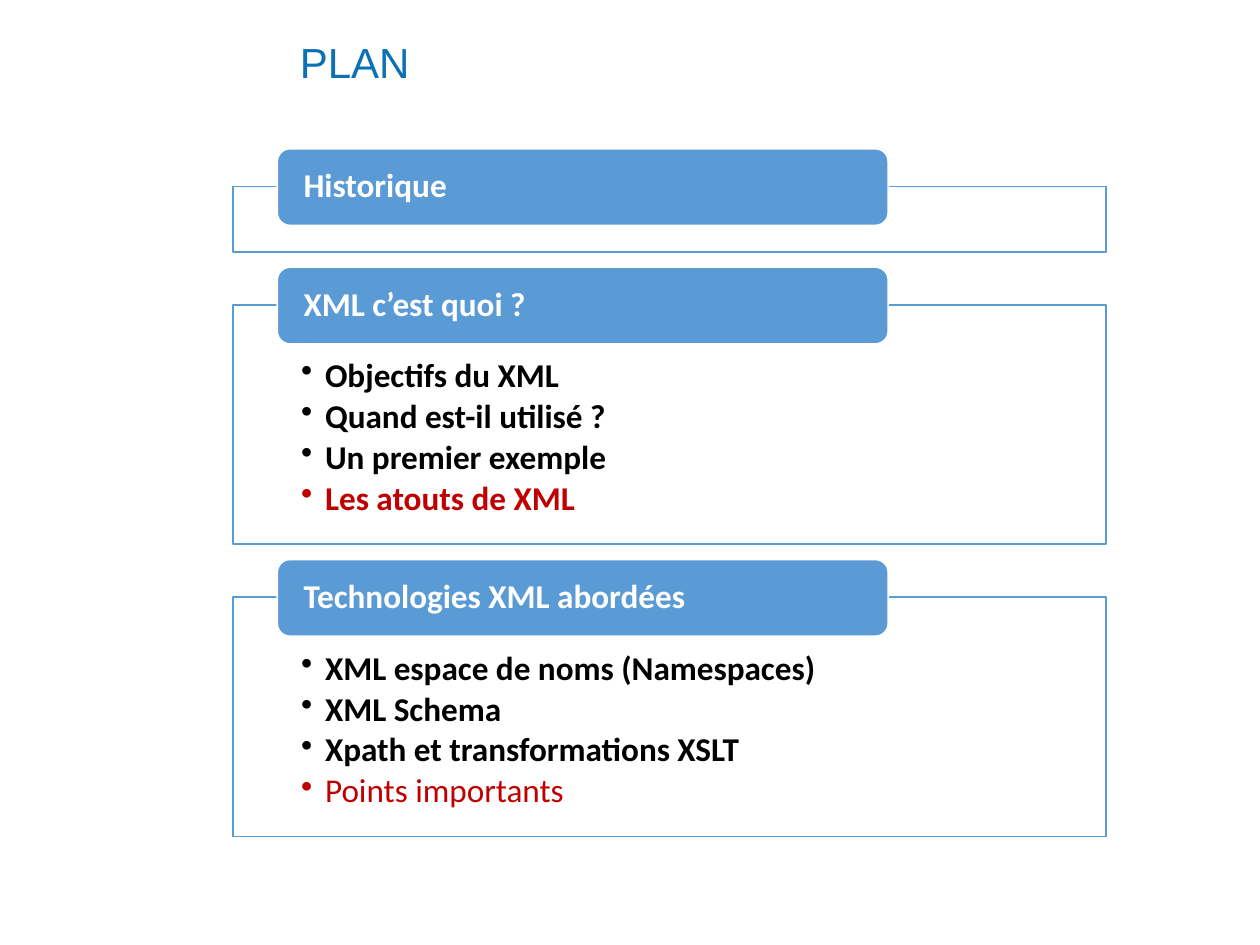
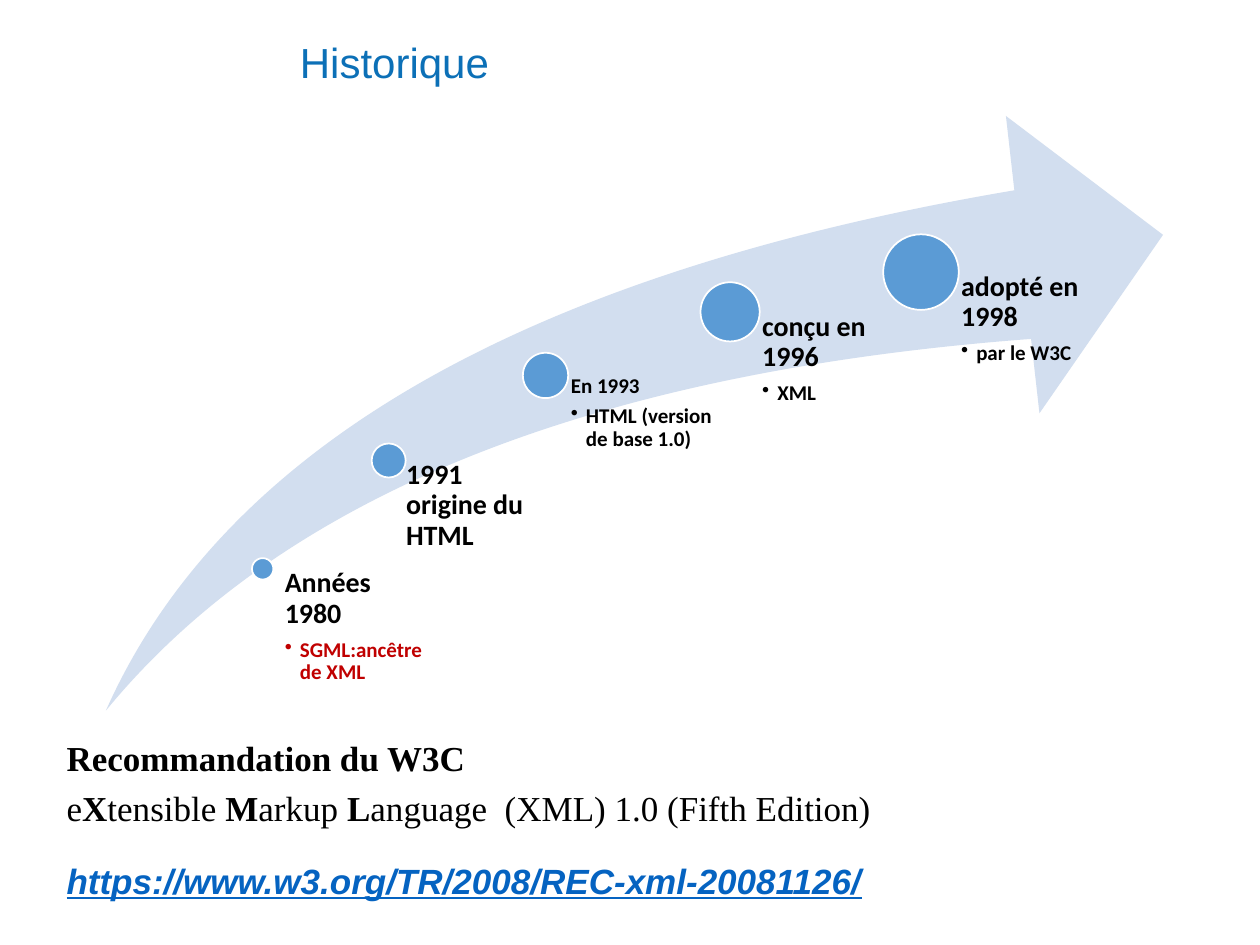
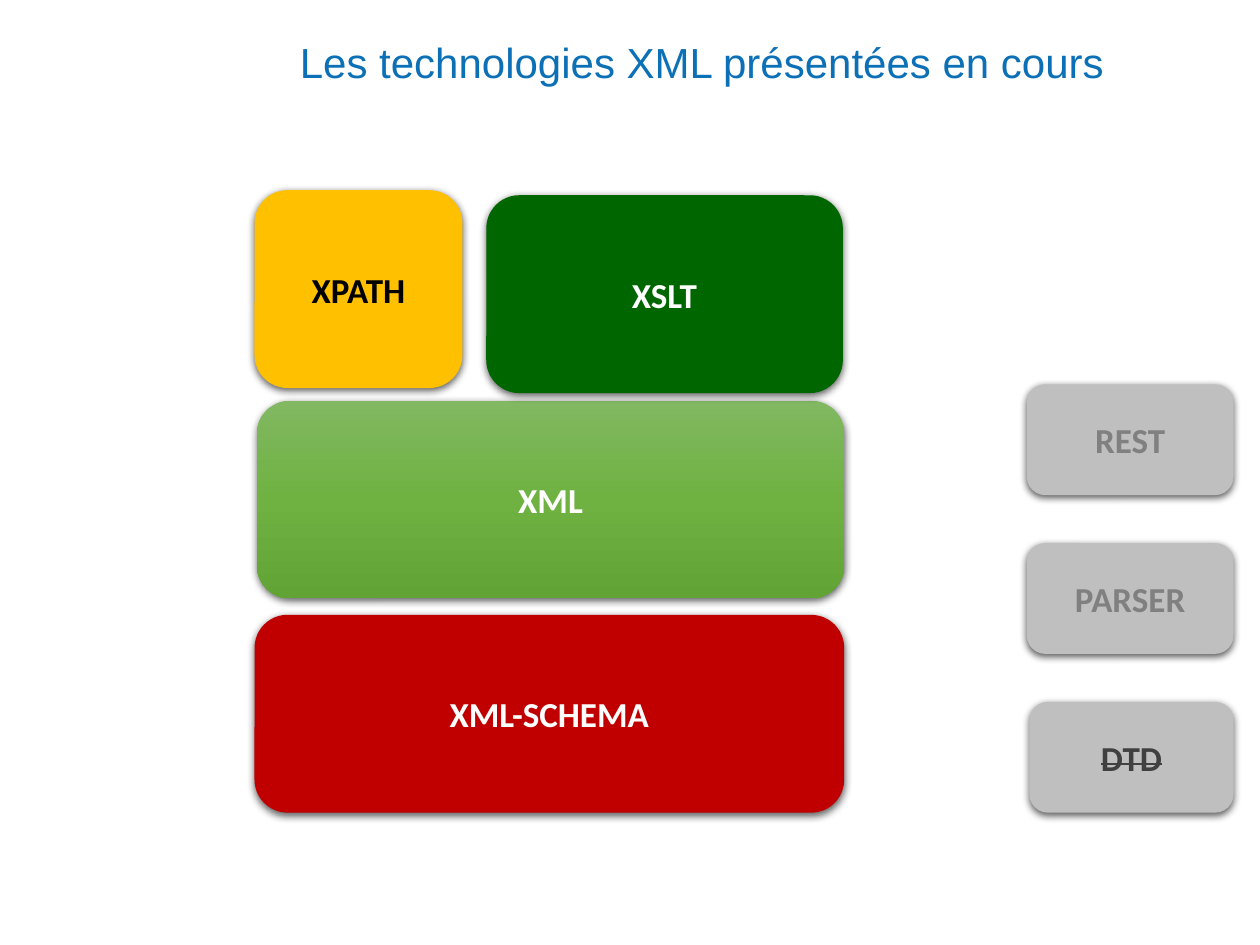
from copy import deepcopy

from lxml import etree
from pptx import Presentation
from pptx.dml.color import RGBColor
from pptx.enum import shapes, text
from pptx.oxml.ns import qn
from pptx.util import Inches, Pt

# Colours and fonts
WHITE = RGBColor(0xFF, 0xFF, 0xFF)
BLACK = RGBColor(0x00, 0x00, 0x00)
BLUE = RGBColor(0x5B, 0x9B, 0xD5)
PALE_BLUE = RGBColor(0xD2, 0xDE, 0xEF)
TITLE_BLUE = RGBColor(0x0C, 0x70, 0xB7)
LINK_BLUE = RGBColor(0x05, 0x63, 0xC1)
RED = RGBColor(0xC0, 0x00, 0x00)
AMBER = RGBColor(0xFF, 0xC0, 0x00)
DARK_GREEN = RGBColor(0x00, 0x66, 0x00)
GREENS = [RGBColor(0x81, 0xB8, 0x61), RGBColor(0x6F, 0xB2, 0x42), RGBColor(0x62, 0xA3, 0x36)]
SILVER = RGBColor(0xBF, 0xBF, 0xBF)
GRAY = RGBColor(0x80, 0x80, 0x80)
DARK_GRAY = RGBColor(0x40, 0x40, 0x40)
BODY_FONT, TITLE_FONT, SERIF_FONT = "Calibri", "Arial", "Times New Roman"

# Content: heading, frame height, items with colour and weight
PLAN = [
    ("Historique", 0.52, []),
    ("XML c’est quoi ?", 1.9, [
        ("Objectifs du XML", BLACK, True),
        ("Quand est-il utilisé ?", BLACK, True),
        ("Un premier exemple", BLACK, True),
        ("Les atouts de XML", RED, True),
    ]),
    ("Technologies XML abordées", 1.9, [
        ("XML espace de noms (Namespaces)", BLACK, True),
        ("XML Schema", BLACK, True),
        ("Xpath et transformations XSLT", BLACK, True),
        ("Points importants", RED, False),
    ]),
]

# Dot left, top, diameter; label left, width; heading, size; detail, colour
MILESTONES = [
    (2.0, 4.43, 0.17, 2.17, 1.21, "Années 1980", 16, "SGML:ancêtre de XML", RED),
    (2.95, 3.52, 0.27, 3.08, 1.25, "1991 origine du HTML", 16, None, BLACK),
    (4.15, 2.8, 0.36, 4.34, 1.46, "En 1993", 12, "HTML (version de base 1.0)", BLACK),
    (5.56, 2.24, 0.47, 5.8, 1.51, "conçu en 1996", 16, "XML", BLACK),
    (7.01, 1.86, 0.6, 7.31, 1.51, "adopté en 1998", 16, "par le W3C", BLACK),
]
SWOOSH_BOTTOM = 5.64
RECOMMENDATION = "Recommandation du W3C"
XML_NAME = [("e", False), ("X", True), ("tensible ", False), ("M", True), ("arkup ", False),
            ("L", True), ("anguage  (XML) 1.0 (Fifth Edition)", False)]
ADDRESS = "https://www.w3.org/TR/2008/REC-xml-20081126/"

# Label, box, fill, text colour, struck through
TECHNOLOGIES = [
    ("XML", (2.04, 3.18, 4.66, 1.57), GREENS, WHITE, False),
    ("DTD", (8.17, 5.57, 1.62, 0.88), SILVER, DARK_GRAY, True),
    ("XPATH", (2.02, 1.51, 1.65, 1.57), AMBER, BLACK, False),
    ("XSLT", (3.86, 1.55, 2.83, 1.57), DARK_GREEN, WHITE, False),
    ("XML-SCHEMA", (2.02, 4.88, 4.68, 1.57), RED, WHITE, False),
    ("PARSER", (8.15, 4.31, 1.64, 0.88), SILVER, GRAY, False),
    ("REST", (8.15, 3.05, 1.64, 0.88), SILVER, GRAY, False),
]


def add_run(paragraph, words, size=20, color=BLACK, font=BODY_FONT, bold=True,
            italic=False, underline=False, strike=False):
    run = paragraph.add_run()
    run.text = words
    run.font.size, run.font.name = Pt(size), font
    run.font.bold, run.font.italic, run.font.underline = bold, italic, underline
    run.font.color.rgb = color
    if strike:
        run.font._element.set("strike", "sngStrike")


def next_paragraph(frame, spacing=None, after=0, bullet_indent=None):
    """Return the empty first paragraph, or a new one, with its spacing set."""
    first = frame.paragraphs[0]
    paragraph = frame.add_paragraph() if first.runs else first
    paragraph.alignment = text.PP_ALIGN.LEFT
    paragraph.line_spacing = spacing
    paragraph.space_after = Pt(after)
    if bullet_indent:
        properties = paragraph._element.get_or_add_pPr()
        properties.set("marL", str(Inches(bullet_indent)))
        properties.set("indent", str(-Inches(bullet_indent)))
        etree.SubElement(properties, qn("a:buChar")).set("char", "•")
    return paragraph


def set_margins(frame, left, top, right, bottom):
    frame.word_wrap = True
    frame.margin_left, frame.margin_top = Inches(left), Inches(top)
    frame.margin_right, frame.margin_bottom = Inches(right), Inches(bottom)


def add_box(slide, kind, box, fill, line=None):
    shape = slide.shapes.add_shape(kind, *map(Inches, box))
    shape.shadow.inherit = False
    shape.fill.solid()
    shape.fill.fore_color.rgb = fill
    if line is None:
        shape.line.fill.background()
    else:
        shape.line.color.rgb = line
        shape.line.width = Pt(1)
    return shape


def add_text_box(slide, box, margins=(0.1, 0.05, 0.1, 0.05)):
    frame = slide.shapes.add_textbox(*map(Inches, box)).text_frame
    set_margins(frame, *margins)
    return frame


def add_slide(presentation, title):
    slide = presentation.slides.add_slide(presentation.slide_layouts[5])
    shape = slide.shapes.title
    shape.left, shape.top, shape.width, shape.height = map(Inches, (2.28, 0.16, 7.72, 0.71))
    shape.text_frame.vertical_anchor = text.MSO_ANCHOR.MIDDLE
    add_run(next_paragraph(shape.text_frame, 0.9), title, size=24, color=TITLE_BLUE,
            font=TITLE_FONT, bold=False)
    return slide


def add_shadow(shape):
    effects = shape._element.spPr.find(qn("a:effectLst"))
    shadow = etree.SubElement(effects, qn("a:outerShdw"), blurRad=str(Pt(4.5)),
                              dist=str(Pt(1.5)), dir="5400000", algn="ctr", rotWithShape="0")
    color = etree.SubElement(shadow, qn("a:srgbClr"), val="000000")
    etree.SubElement(color, qn("a:alpha"), val="63000")


def fill_gradient(shape, colors):
    shape.fill.gradient()
    shape.fill.gradient_angle = 270
    stops = shape._element.spPr.find(qn("a:gradFill")).find(qn("a:gsLst"))
    stops.insert(1, deepcopy(stops[0]))
    for index, (stop, color) in enumerate(zip(shape.fill.gradient_stops, colors)):
        stop.position = index / (len(colors) - 1)
        stop.color.rgb = color


def build_plan(presentation):
    slide = add_slide(presentation, "PLAN")
    top = 1.48
    for heading, height, items in PLAN:
        # Frame with its list
        frame = add_box(slide, shapes.MSO_SHAPE.RECTANGLE, (1.85, top, 6.93, height), WHITE, BLUE)
        frame.text_frame.vertical_anchor = text.MSO_ANCHOR.TOP
        set_margins(frame.text_frame, 0.54, 0.43, 0.54, 0.15)
        for words, color, bold in items:
            paragraph = next_paragraph(frame.text_frame, 0.9, after=2.85, bullet_indent=0.19)
            add_run(paragraph, words, size=19, color=color, bold=bold)
        # Heading over the frame's upper edge
        band = add_box(slide, shapes.MSO_SHAPE.ROUNDED_RECTANGLE,
                       (2.2, top - 0.3, 4.85, 0.61), BLUE, WHITE)
        set_margins(band.text_frame, 0.18, 0, 0.18, 0)
        add_run(next_paragraph(band.text_frame, 0.9), heading, size=19, color=WHITE)
        top += height + 0.42


def build_history(presentation):
    slide = add_slide(presentation, "Historique")
    swoosh = add_box(slide, shapes.MSO_SHAPE.SWOOSH_ARROW, (0.84, 0.92, 8.39, 4.72), PALE_BLUE)
    swoosh.adjustments[0] = swoosh.adjustments[1] = 0.25

    # Milestones: each label starts at the middle of its dot
    for left, top, diameter, label_left, width, heading, size, detail, color in MILESTONES:
        add_box(slide, shapes.MSO_SHAPE.OVAL, (left, top, diameter, diameter), BLUE, WHITE)
        middle = top + diameter / 2
        frame = add_text_box(slide, (label_left, middle, width, SWOOSH_BOTTOM - middle),
                             (diameter * 0.53, 0, 0, 0))
        add_run(next_paragraph(frame, 0.9, after=size * 0.35), heading, size=size)
        if detail:
            paragraph = next_paragraph(frame, 0.9, after=1.8, bullet_indent=0.12)
            add_run(paragraph, detail, size=12, color=color)

    # Recommendation and its address
    frame = add_text_box(slide, (0.43, 5.8, 8.98, 0.84))
    add_run(next_paragraph(frame), RECOMMENDATION, font=SERIF_FONT)
    paragraph = next_paragraph(frame)
    paragraph.space_before = Pt(4.5)
    for words, bold in XML_NAME:
        add_run(paragraph, words, font=SERIF_FONT, bold=bold)
    frame = add_text_box(slide, (0.43, 6.77, 8.03, 0.44))
    add_run(next_paragraph(frame), ADDRESS, color=LINK_BLUE, font=TITLE_FONT,
            italic=True, underline=True)


def build_technologies(presentation):
    slide = add_slide(presentation, "Les technologies XML présentées en cours")
    for label, box, fill, color, strike in TECHNOLOGIES:
        is_gradient = isinstance(fill, list)
        block = add_box(slide, shapes.MSO_SHAPE.ROUNDED_RECTANGLE, box,
                        fill[0] if is_gradient else fill)
        if is_gradient:
            fill_gradient(block, fill)
        add_shadow(block)
        paragraph = next_paragraph(block.text_frame)
        paragraph.alignment = text.PP_ALIGN.CENTER
        add_run(paragraph, label, color=color, strike=strike)


def main():
    presentation = Presentation()
    presentation.slide_width, presentation.slide_height = Inches(10), Inches(7.5)
    build_plan(presentation)
    build_history(presentation)
    build_technologies(presentation)
    presentation.save("out.pptx")


if __name__ == "__main__":
    main()
